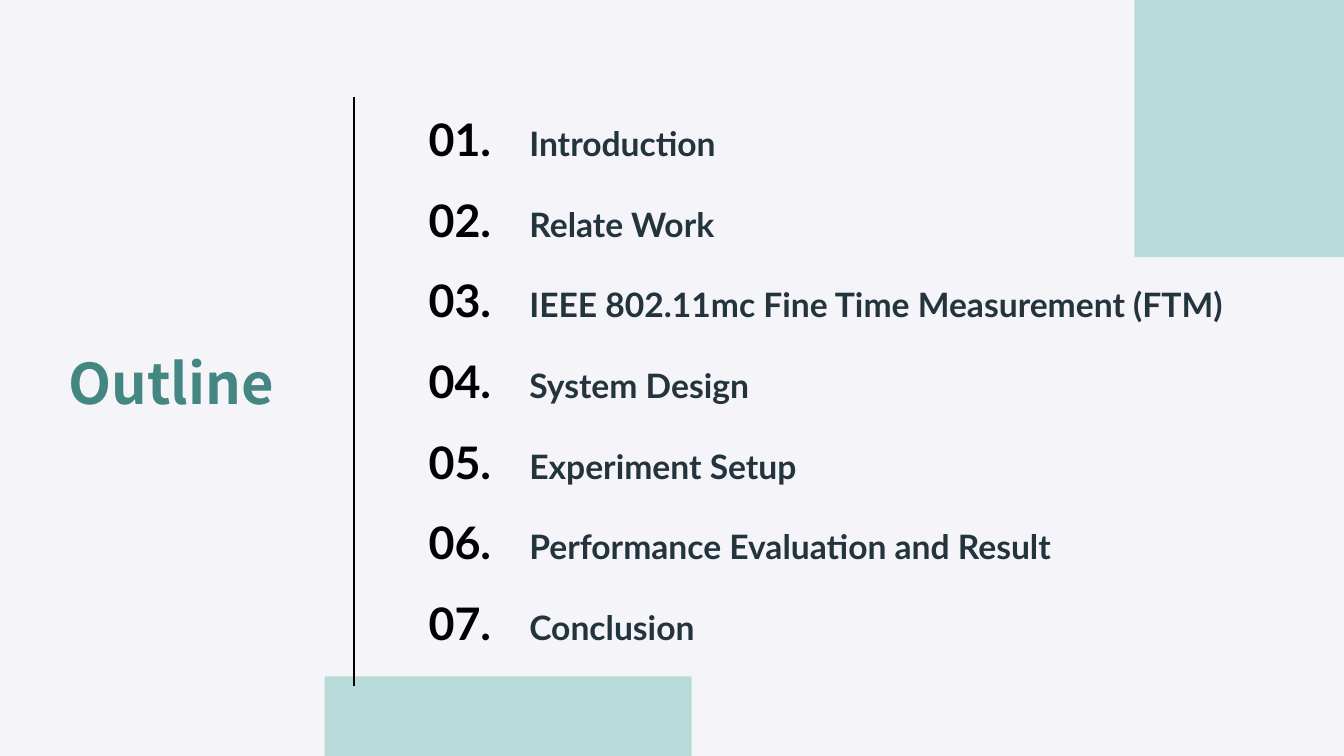
from lxml import etree
from pptx import Presentation
from pptx import util as u
from pptx.dml.color import RGBColor
from pptx.enum import shapes, text
from pptx.oxml import ns

PX = 9144
SLIDE_W, SLIDE_H = 1333, 750
INSET = 13
COLORS = {
    "background": "F4F4F9",
    "block": "B8DBD9",
    "title": "448682",
    "number": "000000",
    "topic": "23343C",
    "divider": "000000",
}
TOPICS = [
    "Introduction",
    "Relate Work",
    "IEEE 802.11mc Fine Time Measurement (FTM)",
    "System Design",
    "Experiment Setup",
    "Performance Evaluation and Result",
    "Conclusion",
]


def px(n):
    return u.Emu(n * PX)


def rgb(name):
    return RGBColor.from_string(COLORS[name])


def format_run(r, size, font, color):
    r.font.size = u.Pt(size)
    r.font.name = font
    r.font.bold = True
    r.font.color.rgb = rgb(color)


def place(sp, box):
    sp.left, sp.top, sp.width, sp.height = map(px, box)
    tf = sp.text_frame
    tf.word_wrap = True
    tf.auto_size = text.MSO_AUTO_SIZE.NONE
    tf.vertical_anchor = text.MSO_ANCHOR.TOP
    tf.margin_left = tf.margin_right = px(INSET)
    tf.margin_top = tf.margin_bottom = px(INSET)
    return tf


def add_block(slide, box):
    sp = slide.shapes.add_shape(shapes.MSO_SHAPE.RECTANGLE, *map(px, box))
    sp.shadow.inherit = False
    sp.fill.solid()
    sp.fill.fore_color.rgb = rgb("block")
    sp.line.fill.background()


def add_divider(slide, box):
    x, y, w, h = box
    line = slide.shapes.add_connector(
        shapes.MSO_CONNECTOR.STRAIGHT, px(x), px(y), px(x + w), px(y + h))
    line.line.color.rgb = rgb("divider")
    line.line.width = u.Pt(1.5)
    etree.SubElement(line._element.spPr, ns.qn("a:effectLst"))


def fill_title(slide, box):
    tf = place(slide.shapes.title, box)
    tf.text = "Outline"
    p = tf.paragraphs[0]
    p.alignment = text.PP_ALIGN.LEFT
    format_run(p.runs[0], 40, "Noto Sans CJK SC", "title")


def fill_topics(slide, box):
    tf = place(slide.placeholders[1], box)
    for i, topic in enumerate(TOPICS):
        p = tf.add_paragraph() if i else tf.paragraphs[0]
        p.space_before = u.Pt(0)
        p.space_after = u.Pt(19.2)
        pPr = p._p.get_or_add_pPr()
        pPr.set("marL", "0")
        pPr.set("indent", "0")
        etree.SubElement(pPr, ns.qn("a:buNone"))
        tabs = etree.SubElement(pPr, ns.qn("a:tabLst"))
        etree.SubElement(tabs, ns.qn("a:tab"), pos=str(px(100)), algn="l")
        for content, size, color in ((f"{i + 1:02}.\t", 32, "number"),
                                     (topic, 24, "topic")):
            r = p.add_run()
            r.text = content
            format_run(r, size, "Lato", color)


def build_outline(prs):
    slide = prs.slides.add_slide(prs.slide_layouts[1])
    slide.background.fill.solid()
    slide.background.fill.fore_color.rgb = rgb("background")
    add_block(slide, (322, 671, 364, 151))
    add_block(slide, (1125, -261, 334, 516))
    add_divider(slide, (351, 96, 0, 585))
    fill_title(slide, (55, 333, 255, 84))
    fill_topics(slide, (412, 98, 880, 570))


def main():
    prs = Presentation()
    prs.slide_width, prs.slide_height = px(SLIDE_W), px(SLIDE_H)
    build_outline(prs)
    prs.save("out.pptx")


if __name__ == "__main__":
    main()
